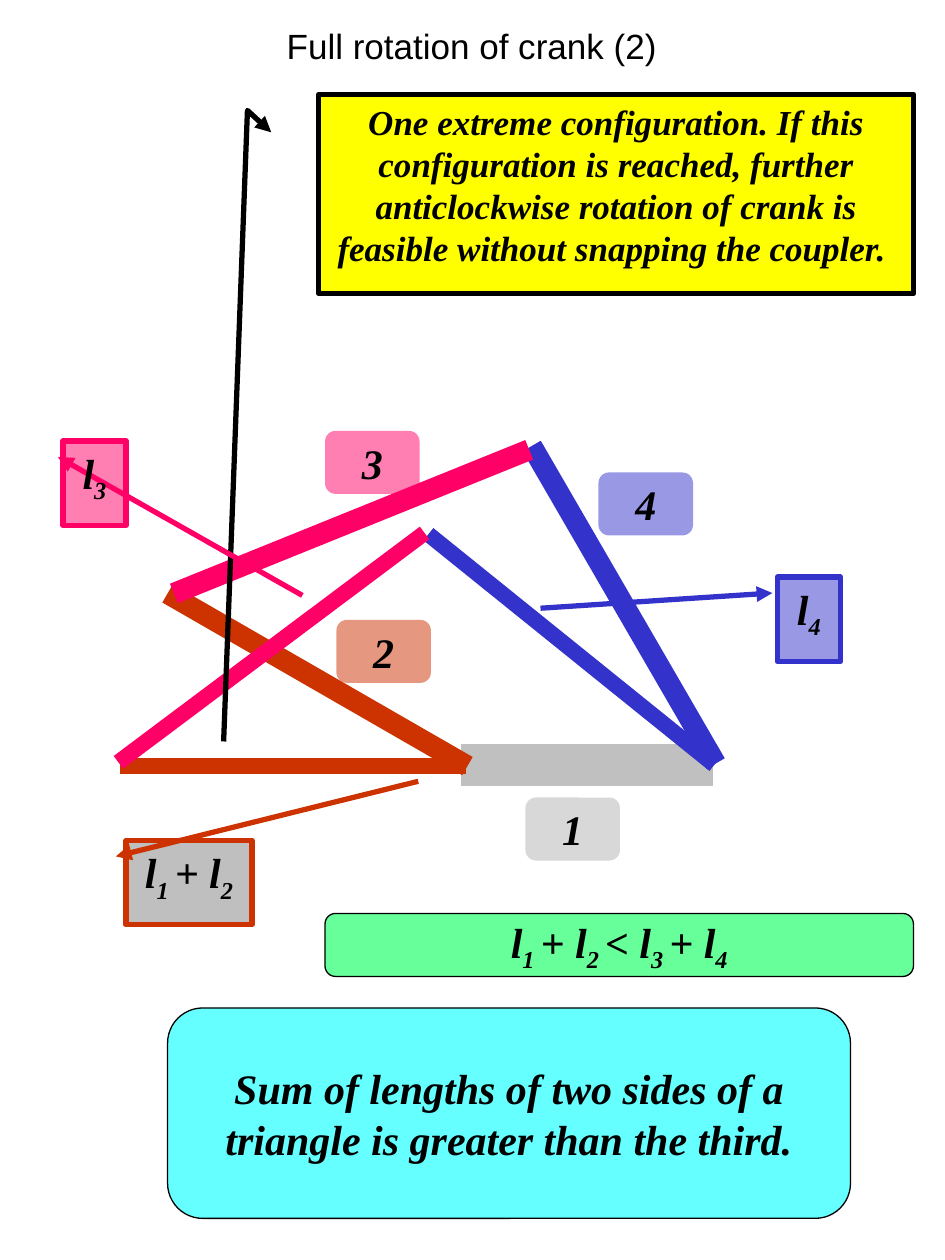
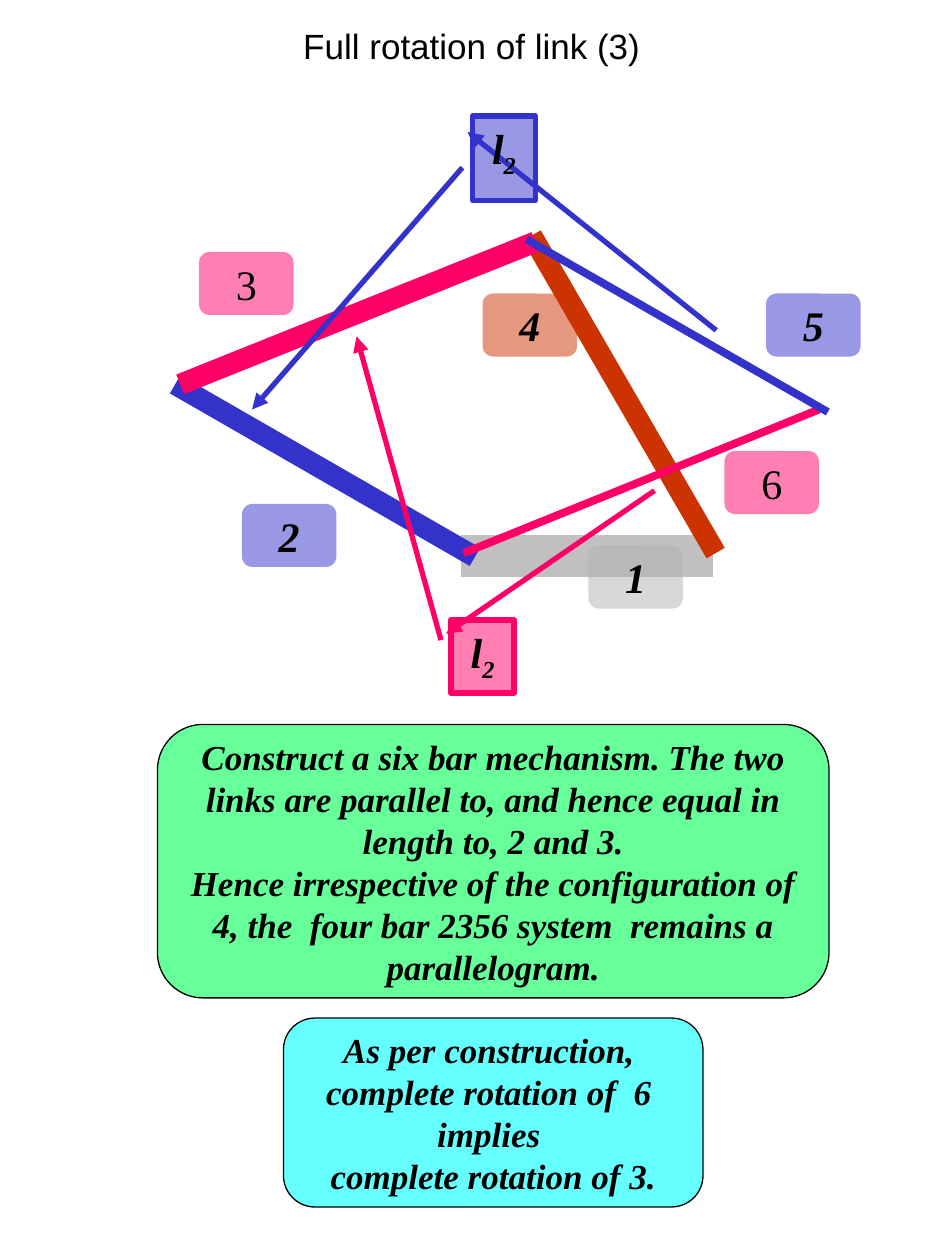
from dataclasses import dataclass

import pptx
import pptx.util
import pptx.dml.color
import pptx.enum.shapes
import pptx.enum.text
import pptx.oxml.ns
import lxml.etree

SHAPE = pptx.enum.shapes.MSO_SHAPE
ANCHOR = pptx.enum.text.MSO_ANCHOR
PX = 9144


@dataclass(frozen=True)
class Theme:
    black: str = "000000"
    red: str = "CC3300"
    blue: str = "3333CC"
    pink: str = "FF0066"
    ground: str = "C0C0C0"
    silver: str = "B2B2B2"
    gray: str = "808080"
    yellow: str = "FFFF00"
    green: str = "66FF99"
    cyan: str = "66FFFF"
    title_font: str = "Arial"
    body_font: str = "Times New Roman"
    body: int = 20
    large: int = 24
    outline: float = 0.75
    arrow: int = 3
    rod: float = 4.5
    thin_bar: int = 9
    bar: int = 12
    ground_bar: int = 24


theme = Theme()
qn = pptx.oxml.ns.qn
rgb = pptx.dml.color.RGBColor.from_string


def add_line(page, start, end, color, width, arrow=False):
    line = page.shapes.add_connector(
        pptx.enum.shapes.MSO_CONNECTOR.STRAIGHT, *(value * PX for value in start + end))
    line.line.color.rgb = rgb(color)
    line.line.width = pptx.util.Pt(width)
    if arrow:
        lxml.etree.SubElement(line.line._get_or_add_ln(), qn("a:tailEnd"), type="triangle")
    lxml.etree.SubElement(line._element.spPr, qn("a:effectLst"))


def add_box(page, kind, bounds, text, size=theme.large, fill=None, outline=None, width=theme.outline,
            leader=None, clear=False, wrap=True, font=theme.body_font, strong=True):
    bounds = [value * PX for value in bounds]
    if kind is None:
        box = page.shapes.add_textbox(*bounds)
    else:
        box = page.shapes.add_shape(kind, *bounds)
        box.shadow.inherit = False
        box.fill.solid()
        box.fill.fore_color.rgb = rgb(fill)
        if clear:
            color = box._element.spPr.find(qn("a:solidFill"))[0]
            lxml.etree.SubElement(color, qn("a:alpha"), val="50000")
        if outline:
            box.line.color.rgb = rgb(outline)
            box.line.width = pptx.util.Pt(width)
        else:
            box.line.fill.background()
    if leader:
        for index, value in enumerate(leader):
            box.adjustments[index] = value
        lxml.etree.SubElement(box.line._get_or_add_ln(), qn("a:headEnd"), type="triangle")
    frame = box.text_frame
    frame.word_wrap = wrap
    frame.vertical_anchor = ANCHOR.TOP if leader else ANCHOR.MIDDLE
    for index, content in enumerate(text.split("\n")):
        para = frame.add_paragraph() if index else frame.paragraphs[0]
        para.alignment = pptx.enum.text.PP_ALIGN.CENTER
        for order, piece in enumerate(content.split("|")):
            span = para.add_run()
            span.text = piece
            span.font.name = font
            span.font.size = pptx.util.Pt(size)
            span.font.bold = span.font.italic = strong
            span.font.color.rgb = rgb(theme.black)
            if order % 2:
                span.font._element.set("baseline", "-25000")


deck = pptx.Presentation()
deck.slide_width = 750 * PX
deck.slide_height = 1000 * PX

pages = []
for title in ("Full rotation of crank (2)", "Full rotation of link (3)"):
    page = deck.slides.add_slide(deck.slide_layouts[6])
    add_box(page, None, (56, 8, 637, 56), title, theme.body, font=theme.title_font, strong=False)
    pages.append(page)
crank_page, link_page = pages

for page, start, end, color, width in (
    (crank_page, (366, 607), (566, 607), theme.ground, theme.ground_bar),
    (crank_page, (371, 608), (133, 471), theme.red, theme.bar),
    (crank_page, (568, 606), (422, 354), theme.blue, theme.bar),
    (crank_page, (138, 471), (420, 357), theme.pink, theme.bar),
    (crank_page, (370, 608), (95, 608), theme.red, theme.thin_bar),
    (crank_page, (567, 607), (340, 424), theme.blue, theme.thin_bar),
    (crank_page, (94, 605), (337, 423), theme.pink, theme.thin_bar),
    (link_page, (366, 441), (566, 441), theme.ground, theme.ground_bar),
    (link_page, (377, 442), (139, 305), theme.blue, theme.bar),
    (link_page, (568, 439), (422, 187), theme.red, theme.bar),
    (link_page, (143, 305), (425, 192), theme.pink, theme.bar),
):
    add_line(page, start, end, color, width)

add_box(crank_page, SHAPE.LINE_CALLOUT_2, (253, 75, 472, 158),
        "One extreme configuration. If this configuration is reached, further "
        "anticlockwise rotation of crank is feasible without snapping the coupler. ",
        theme.body, theme.yellow, theme.black, theme.arrow,
        leader=(0.19, -0.08, 0.08, -0.12, 3.25, -0.16))

for page, left, top, number, color, strong in (
    (crank_page, 417, 633, "1", theme.silver, True),
    (crank_page, 267, 492, "2", theme.red, True),
    (crank_page, 258, 342, "3", theme.pink, True),
    (crank_page, 475, 375, "4", theme.blue, True),
    (link_page, 467, 433, "1", theme.silver, True),
    (link_page, 192, 400, "2", theme.blue, True),
    (link_page, 158, 200, "3", theme.pink, False),
    (link_page, 383, 233, "4", theme.red, True),
    (link_page, 608, 233, "5", theme.blue, True),
    (link_page, 575, 358, "6", theme.pink, False),
):
    add_box(page, SHAPE.ROUNDED_RECTANGLE, (left, top, 75, 50), number,
            fill=color, clear=True, wrap=False, strong=strong)

add_line(link_page, (368, 439), (650, 325), theme.pink, theme.rod)
add_line(link_page, (657, 327), (418, 190), theme.blue, theme.rod)

for page, bounds, text, fill, color, target in (
    (crank_page, (100, 667, 100, 67), "l|1 |+ l|2", theme.gray, theme.red, (-0.7, 2.32)),
    (crank_page, (617, 458, 50, 67), "l|4", theme.blue, theme.blue, (0.37, -3.76)),
    (crank_page, (50, 350, 50, 67), "l|3", theme.pink, theme.pink, (1.83, 3.8)),
    (link_page, (375, 92, 50, 67), "l|2", theme.blue, theme.blue, (2.54, 3.87)),
    (link_page, (358, 492, 50, 58), "l|2", theme.pink, theme.pink, (-1.77, 3.23)),
):
    add_box(page, SHAPE.LINE_CALLOUT_1, bounds, text, fill=fill, outline=color,
            width=theme.arrow, leader=(0.19, -0.08) + target, clear=True)

add_line(link_page, (367, 133), (200, 325), theme.blue, theme.arrow, arrow=True)
add_line(link_page, (350, 508), (283, 267), theme.pink, theme.arrow, arrow=True)

for page, bounds, fill, size, wrap, text in (
    (crank_page, (258, 725, 467, 50), theme.green, theme.large, False,
     "l|1 |+ l|2 |< l|3 |+ l|4"),
    (crank_page, (133, 800, 542, 167), theme.cyan, theme.large, True,
     "Sum of lengths of two sides of a triangle is greater than the third."),
    (link_page, (125, 575, 533, 217), theme.green, theme.body, True,
     "Construct a six bar mechanism. The two links are parallel to, "
     "and hence equal in length to, 2 and 3.\n"
     "Hence irrespective of the configuration of 4, the  four bar 2356 system  "
     "remains a parallelogram."),
    (link_page, (225, 808, 333, 150), theme.cyan, theme.body, True,
     "As per construction, \ncomplete rotation of  6 \nimplies \ncomplete rotation of 3."),
):
    add_box(page, SHAPE.ROUNDED_RECTANGLE, bounds, text, size, fill, theme.black, wrap=wrap)

deck.save("out.pptx")
